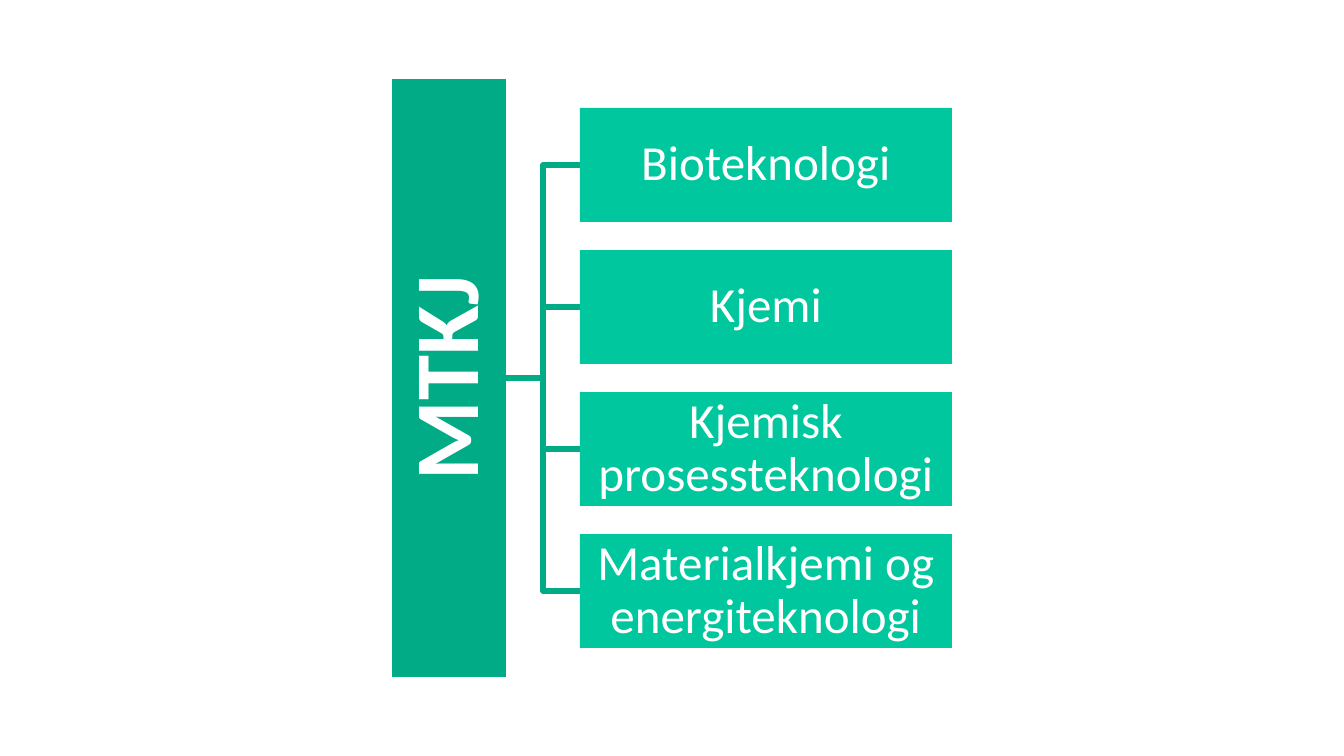
from pptx import Presentation
from pptx.dml.color import RGBColor
from pptx.enum.shapes import MSO_SHAPE
from pptx.enum.text import MSO_ANCHOR, PP_ALIGN
from pptx.util import Pt

RECT = MSO_SHAPE.RECTANGLE
MIDDLE = MSO_ANCHOR.MIDDLE
CENTER = PP_ALIGN.CENTER

# Content
ROOT = "MTKJ"
FIELDS = [
    "Bioteknologi",
    "Kjemi",
    "Kjemisk prosessteknologi",
    "Materialkjemi og energiteknologi",
]
COLORS = {"root": "00AB86", "field": "00C79D", "text": "FFFFFF"}
FONT = "Calibri"

# Layout in px
PX = 914400 / 100.8
WIDTH, HEIGHT = 1344, 756
MID = HEIGHT // 2
BAR = 114          # thickness of the root and height of a field
ROOT_LEFT, ROOT_LEN = 392, 598
FIELD_LEFT, FIELD_WIDTH, PITCH = 580, 372, 142


def emu(px):
    return round(px * PX)


def color(name):
    return RGBColor.from_string(COLORS[name])


def add_box(slide, text, center, size, fill, points, inset, bold=False):
    (x, y), (w, h) = center, size
    box = slide.shapes.add_shape(
        RECT, emu(x - w / 2), emu(y - h / 2), emu(w), emu(h))
    box.shadow.inherit = False
    box.fill.solid()
    box.fill.fore_color.rgb = color(fill)
    box.line.fill.background()
    frame = box.text_frame
    frame.word_wrap = True
    frame.vertical_anchor = MIDDLE
    frame.margin_left = frame.margin_right = emu(inset)
    frame.margin_top = frame.margin_bottom = emu(inset)
    para = frame.paragraphs[0]
    para.text = text
    para.alignment = CENTER
    para.line_spacing = 0.9
    para.font.name = FONT
    para.font.size = Pt(points)
    para.font.bold = bold
    para.font.color.rgb = color("text")
    return box


def add_branch(slide, y):
    start = ROOT_LEFT + BAR
    bend = (start + FIELD_LEFT) / 2
    path = slide.shapes.build_freeform(emu(start), emu(MID))
    path.add_line_segments(
        [(emu(bend), emu(MID)), (emu(bend), emu(y)), (emu(FIELD_LEFT), emu(y))],
        close=False)
    branch = path.convert_to_shape()
    branch.shadow.inherit = False
    branch.fill.background()
    branch.line.color.rgb = color("root")
    branch.line.width = Pt(4)


def main():
    deck = Presentation()
    deck.slide_width, deck.slide_height = emu(WIDTH), emu(HEIGHT)
    slide = deck.slides.add_slide(deck.slide_layouts[6])

    # Branches, evenly spread around the middle
    first = MID - PITCH * (len(FIELDS) - 1) / 2
    rows = [first + PITCH * i for i in range(len(FIELDS))]
    for y in rows:
        add_branch(slide, y)

    # Root, turned to read upwards
    root = add_box(slide, ROOT, (ROOT_LEFT + BAR / 2, MID), (ROOT_LEN, BAR),
                   "root", 65, 5, bold=True)
    root.rotation = 270

    # Fields
    for text, y in zip(FIELDS, rows):
        add_box(slide, text, (FIELD_LEFT + FIELD_WIDTH / 2, y),
                (FIELD_WIDTH, BAR), "field", 35, 2)

    deck.save("out.pptx")


if __name__ == "__main__":
    main()
